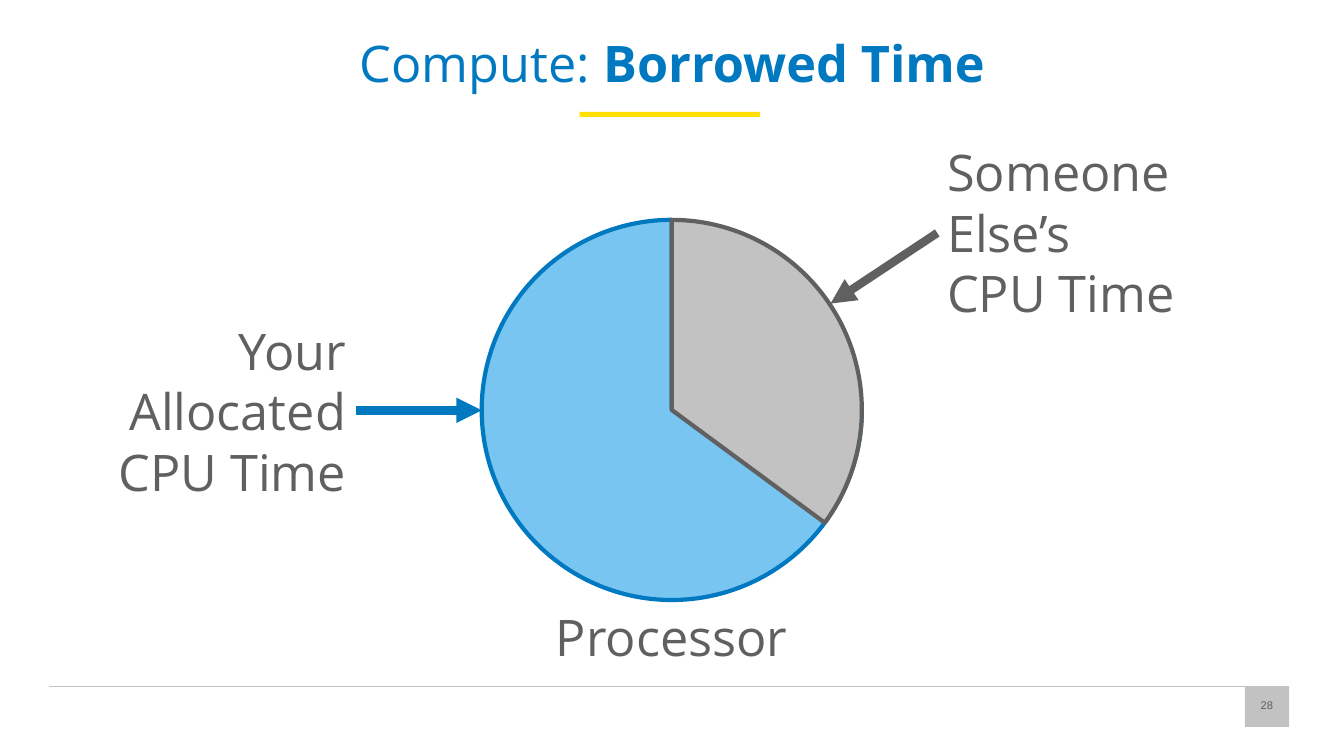
"""Build the slide that shows how processor time is shared."""
from dataclasses import dataclass

from lxml import etree
from pptx import Presentation
from pptx.dml.color import RGBColor
from pptx.enum import shapes, text
from pptx.oxml import ns
from pptx.util import Cm, Pt

BLUE, LIGHT_BLUE, YELLOW = "0079C1", "79C5F2", "FFDE00"
GREY, LIGHT_GREY = "606060", "C2C2C2"
LEFT, CENTER, RIGHT = text.PP_ALIGN.LEFT, text.PP_ALIGN.CENTER, text.PP_ALIGN.RIGHT
DEGREE = 0.6


@dataclass
class Label:
    lines: list[str]
    box: tuple[float, float, float, float]
    align: text.PP_ALIGN = CENTER
    size: int = 36
    font: str = "Open Sans"
    color: str = GREY
    anchor: text.MSO_ANCHOR = text.MSO_ANCHOR.MIDDLE
    inset: float = 0.25


@dataclass
class Slice:
    sweep: float
    rotation: int
    fill: str
    line: str


@dataclass
class Line:
    start: tuple[float, float]
    end: tuple[float, float]
    color: str
    width: float = 6
    arrow: bool = True


LABELS = [
    Label(["Your Allocated", "CPU Time"], (2.34, 8.86, 6.63, 2.97), RIGHT),
    Label(["Someone Else’s", "CPU Time"], (23.62, 4.37, 8.84, 2.97), LEFT),
    Label(["Processor"], (13.61, 15.37, 6.63, 1.32)),
    Label(["28"], (31.37, 17.25, 1.12, 1.02), size=8, font="Arial", inset=0.13),
]
SLICES = [Slice(270, 0, LIGHT_BLUE, BLUE), Slice(126.39, 270, LIGHT_GREY, GREY)]
FOOTER_RULE = Line((1.24, 17.3), (32.49, 17.3), LIGHT_GREY, 0.75, False)
ARROWS = [
    Line((8.97, 10.34), (12.14, 10.34), BLUE),
    Line((23.62, 5.87), (20.93, 7.65), GREY),
]


def rgb(value: str) -> RGBColor:
    return RGBColor.from_string(value)


def add_filled(s, kind, box: tuple, fill: str):
    sp = s.shapes.add_shape(kind, *map(Cm, box))
    sp.shadow.inherit = False
    sp.fill.solid()
    sp.fill.fore_color.rgb = rgb(fill)
    sp.line.fill.background()
    return sp


def add_slice(s, part: Slice) -> None:
    sp = add_filled(s, shapes.MSO_SHAPE.PIE, (12.14, 5.54, 9.58, 9.58), part.fill)
    sp.adjustments[0] = 0
    sp.adjustments[1] = part.sweep * DEGREE
    sp.rotation = part.rotation
    sp.line.color.rgb = rgb(part.line)
    sp.line.width = Pt(3)


def add_label(s, label: Label):
    tf = s.shapes.add_textbox(*map(Cm, label.box)).text_frame
    tf.word_wrap = True
    tf.vertical_anchor = label.anchor
    tf.margin_left = tf.margin_right = Cm(0.25)
    tf.margin_top = tf.margin_bottom = Cm(label.inset)
    tf.text = "\n".join(label.lines)
    for p in tf.paragraphs:
        p.alignment = label.align
        p.font.size = Pt(label.size)
        p.font.name = label.font
        p.font.color.rgb = rgb(label.color)
    return tf


def add_title(s) -> None:
    label = Label(["Compute: "], (2.34, 0.74, 29.21, 2.51), color=BLUE,
                  anchor=text.MSO_ANCHOR.TOP)
    p = add_label(s, label).paragraphs[0]
    p.line_spacing = 0.9
    r = p.add_run()
    r.text = "Borrowed Time"
    r.font.bold = True


def add_line(s, line: Line) -> None:
    sp = s.shapes.add_connector(shapes.MSO_CONNECTOR.STRAIGHT,
                                *map(Cm, line.start + line.end))
    sp.line.color.rgb = rgb(line.color)
    sp.line.width = Pt(line.width)
    if line.arrow:
        ln = sp.line._get_or_add_ln()
        etree.SubElement(ln, ns.qn("a:tailEnd"), type="triangle")
    etree.SubElement(sp._element.spPr, ns.qn("a:effectLst"))


def main() -> None:
    prs = Presentation()
    prs.slide_width, prs.slide_height = Cm(33.87), Cm(19.05)
    s = prs.slides.add_slide(prs.slide_layouts[6])
    rectangle = shapes.MSO_SHAPE.RECTANGLE
    add_filled(s, rectangle, (14.61, 2.82, 4.55, 0.13), YELLOW)
    add_line(s, FOOTER_RULE)
    add_filled(s, rectangle, (31.37, 17.3, 1.12, 1.02), LIGHT_GREY)
    add_title(s)
    for part in SLICES:
        add_slice(s, part)
    for label in LABELS:
        add_label(s, label)
    for arrow in ARROWS:
        add_line(s, arrow)
    prs.save("out.pptx")


if __name__ == "__main__":
    main()
